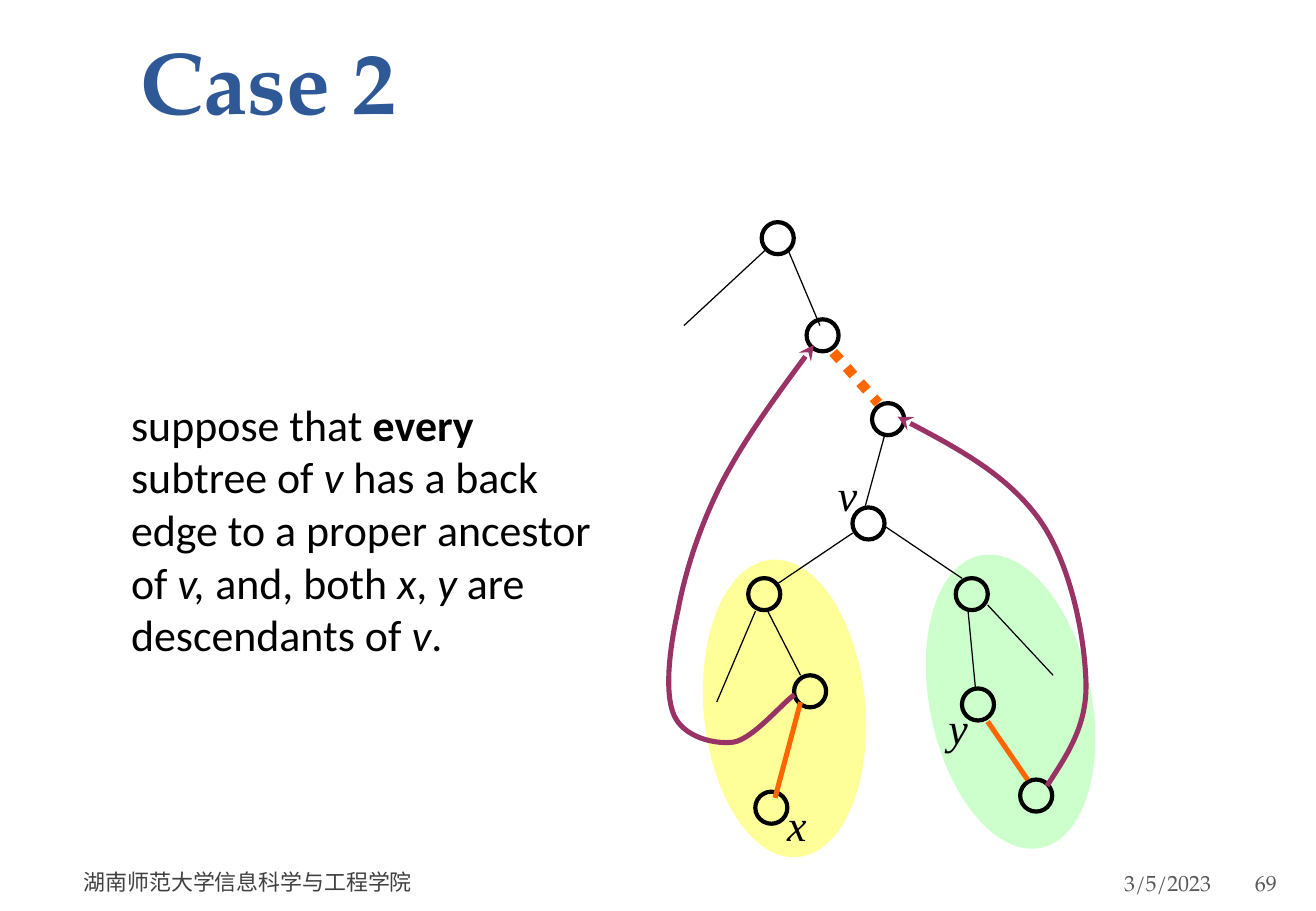
from lxml.etree import SubElement
from pptx import Presentation
from pptx.dml.color import RGBColor
from pptx.enum.dml import MSO_LINE
from pptx.enum.shapes import MSO_CONNECTOR, MSO_SHAPE
from pptx.enum.text import MSO_ANCHOR, PP_ALIGN
from pptx.oxml.ns import qn
from pptx.util import Pt

BLACK, ORANGE, PLUM, GRAY = "000000", "FF6600", "993366", "595959"
SERIF, MATH, BODY = "TeX Gyre Pagella", "Times New Roman", "Calibri"
NODE_SIZE = 19

# Left, top, width, height, rotation, fill
SUBTREES = [
    (510.5, 368, 177, 95.8, 258.3, "CCFFCC"),
    (376.5, 372, 177, 95.8, 264.8, "FFFF99"),
]
NODE_CENTERS = {
    "root": (461, 141.2), "high ancestor": (487.6, 198.8),
    "low ancestor": (526.4, 248.5), "v": (514.8, 310.3),
    "left child": (453, 352.2), "right child": (576, 352.2),
    "left grandchild": (480.2, 409.8), "x": (457.2, 478.8),
    "y": (579.7, 417.6), "right leaf": (614.2, 471.6),
}
TREE_EDGES = [
    (455, 147, 405.4, 193), (466.6, 147, 486, 193),
    (524.2, 258.5, 512.6, 301), (505.4, 316, 459.4, 347),
    (524.2, 311.8, 570.2, 342.8), (455, 362.2, 474.5, 400.3),
    (447.8, 362.2, 424.8, 416.2), (573.8, 362.2, 578.2, 408.2),
    (585.4, 358.6, 624.2, 400.3),
]
ORANGE_EDGES = [(474.5, 416.2, 459.4, 473), (585.4, 427.7, 609.1, 462.2)]
DOTTED_EDGE = (493.9, 208.8, 520.6, 239)
# Start point, then two control points and an end point for each curve
BACK_EDGES = [
    [(532.1, 247), (565.2, 264.2), (597.6, 282.2), (616.3, 308.2),
     (635, 334.8), (643, 378), (643.7, 404.6),
     (644.4, 430.6), (632.2, 447.8), (620.6, 465.8)],
    [(482.4, 204.5), (462.2, 231.8), (442.1, 259.2), (428.4, 285.1),
     (414.7, 311.8), (406.1, 339.1), (401.8, 362.2),
     (396.7, 385.2), (393.8, 411.1), (399.6, 424.1),
     (405.4, 437), (423.4, 441.4), (434.9, 439.9),
     (446.4, 437.8), (463, 417.6), (470.9, 411.8)],
]
NODE_LABELS = [("x", 459.4, 469.4), ("y", 555, 412), ("v", 489.6, 273.6)]
# Text and style: b is bold, i is italic
STATEMENT = [
    ("suppose that ", ""), ("every ", "b"), ("subtree of ", ""), ("v", "i"),
    (" has a back edge to a proper ancestor of ", ""), ("v, ", "i"),
    ("and, both ", ""), ("x", "i"), (", ", ""), ("y ", "i"),
    ("are descendants of ", ""), ("v", "i"), (".", ""),
]

deck = Presentation()
deck.slide_width, deck.slide_height = Pt(780), Pt(540)
page = deck.slides.add_slide(deck.slide_layouts[6])


def color(value):
    return RGBColor.from_string(value)


def add_text(spans, left, top, width, height, *, font, size, ink=BLACK,
             align=PP_ALIGN.LEFT, anchor=MSO_ANCHOR.TOP,
             insets=(7.2, 3.6, 7.2, 3.6), line_height=None):
    """Add a one-paragraph text box from (text, style) spans."""
    box = page.shapes.add_textbox(Pt(left), Pt(top), Pt(width), Pt(height))
    frame = box.text_frame
    frame.word_wrap = True
    frame.vertical_anchor = anchor
    (frame.margin_left, frame.margin_top,
     frame.margin_right, frame.margin_bottom) = map(Pt, insets)
    para = frame.paragraphs[0]
    para.alignment = align
    if line_height:
        para.line_spacing = Pt(line_height)
    for text, style in spans:
        span = para.add_run()
        span.text = text
        span.font.name, span.font.size = font, Pt(size)
        span.font.bold, span.font.italic = "b" in style, "i" in style
        span.font.color.rgb = color(ink)


def add_ellipse(left, top, width, height, rotation=0, fill=None):
    """Add a filled ellipse, or a black ring when there is no fill."""
    ellipse = page.shapes.add_shape(
        MSO_SHAPE.OVAL, Pt(left), Pt(top), Pt(width), Pt(height))
    ellipse.shadow.inherit = False
    ellipse.rotation = rotation
    if fill:
        ellipse.fill.solid()
        ellipse.fill.fore_color.rgb = color(fill)
        ellipse.line.fill.background()
    else:
        ellipse.fill.background()
        ellipse.line.color.rgb = color(BLACK)
        ellipse.line.width = Pt(2.5)


def add_edge(ends, ink=BLACK, width=0.75, dash=None):
    edge = page.shapes.add_connector(MSO_CONNECTOR.STRAIGHT, *map(Pt, ends))
    edge.line.color.rgb = color(ink)
    edge.line.width = Pt(width)
    if dash:
        edge.line.dash_style = dash
    SubElement(edge._element.spPr, qn("a:effectLst"))


def add_back_edge(points):
    """Draw Bezier curves through the points, with an arrowhead at the start."""
    start, *rest = [(Pt(x), Pt(y)) for x, y in points]
    builder = page.shapes.build_freeform(*start)
    builder.add_line_segments(rest, close=False)
    curve = builder.convert_to_shape()
    curve.shadow.inherit = False
    curve.fill.background()
    curve.line.color.rgb = color(PLUM)
    curve.line.width = Pt(3)
    SubElement(curve.line._get_or_add_ln(), qn("a:headEnd"), type="stealth")
    outline = next(curve._element.iter(qn("a:path")))
    segments = outline.findall(qn("a:lnTo"))
    for first in range(0, len(segments), 3):
        bezier = SubElement(outline, qn("a:cubicBezTo"))
        for segment in segments[first:first + 3]:
            bezier.append(segment[0])
            outline.remove(segment)


for subtree in SUBTREES:
    add_ellipse(*subtree)
for x, y in NODE_CENTERS.values():
    add_ellipse(x - NODE_SIZE / 2, y - NODE_SIZE / 2, NODE_SIZE, NODE_SIZE)
for ends in TREE_EDGES:
    add_edge(ends)
for ends in ORANGE_EDGES:
    add_edge(ends, ORANGE, 3)
add_edge(DOTTED_EDGE, ORANGE, 6, MSO_LINE.ROUND_DOT)
for label, left, top in NODE_LABELS:
    add_text([(label, "i")], left, top, 26.6, 39, font=MATH, size=26)
for points in BACK_EDGES:
    add_back_edge(points)

add_text(STATEMENT, 70.6, 232, 288.7, 165, font=BODY, size=26)
add_text([("Case 2", "b")], 63.4, 8.6, 191.5, 73.4, font=SERIF, size=52,
         ink="2F5897", align=PP_ALIGN.CENTER, anchor=MSO_ANCHOR.BOTTOM,
         line_height=62.8)

footer = dict(font=SERIF, size=13, anchor=MSO_ANCHOR.MIDDLE)
add_text([("湖南师范大学信息科学与工程学院", "")], 46, 508.3, 491, 28.8,
         ink="404040", insets=(3.6, 3.6, 7.2, 3.6), **footer)
add_text([("3/5/2023", "")], 543.6, 509, 177.8, 28.8, ink=GRAY,
         align=PP_ALIGN.RIGHT, insets=(7.2, 3.6, 3.6, 3.6), **footer)
add_text([("69", "")], 741.6, 509, 35.3, 28.8, ink=GRAY,
         insets=(2.2, 3.6, 3.6, 3.6), **footer)

deck.save("out.pptx")
